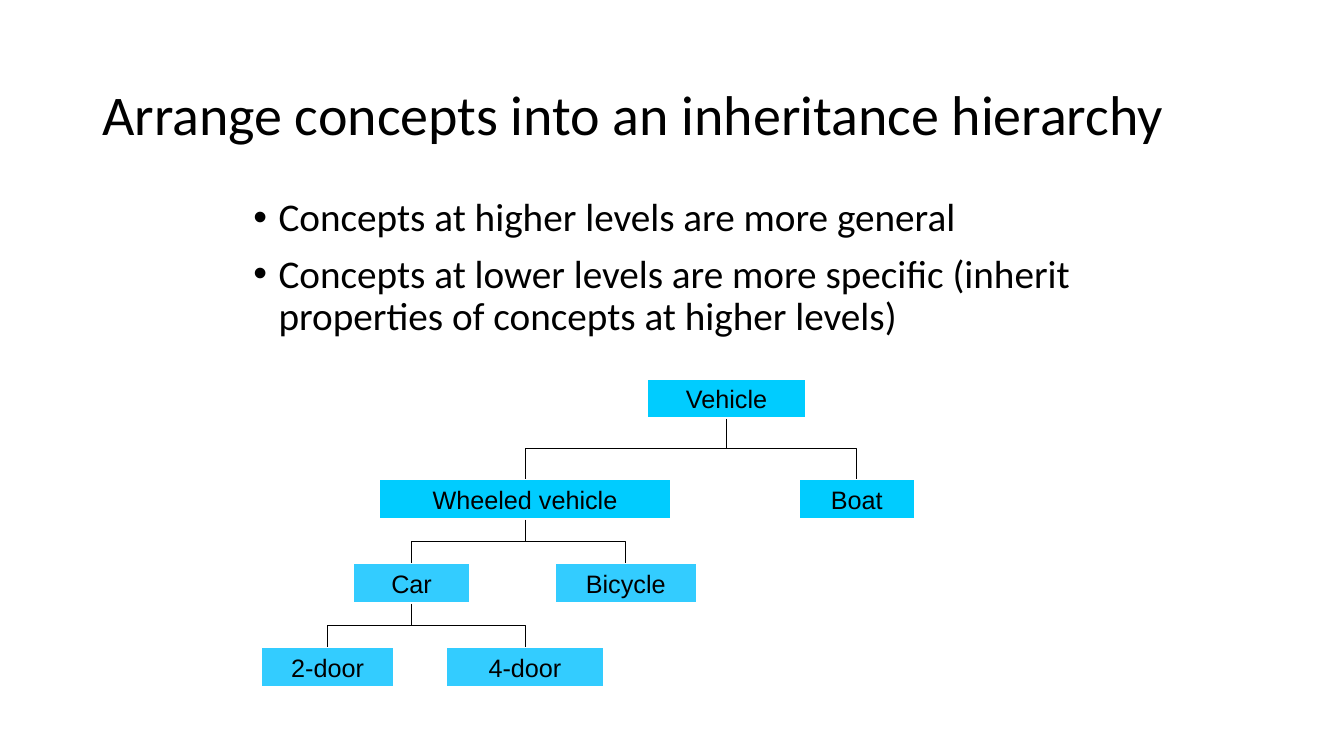
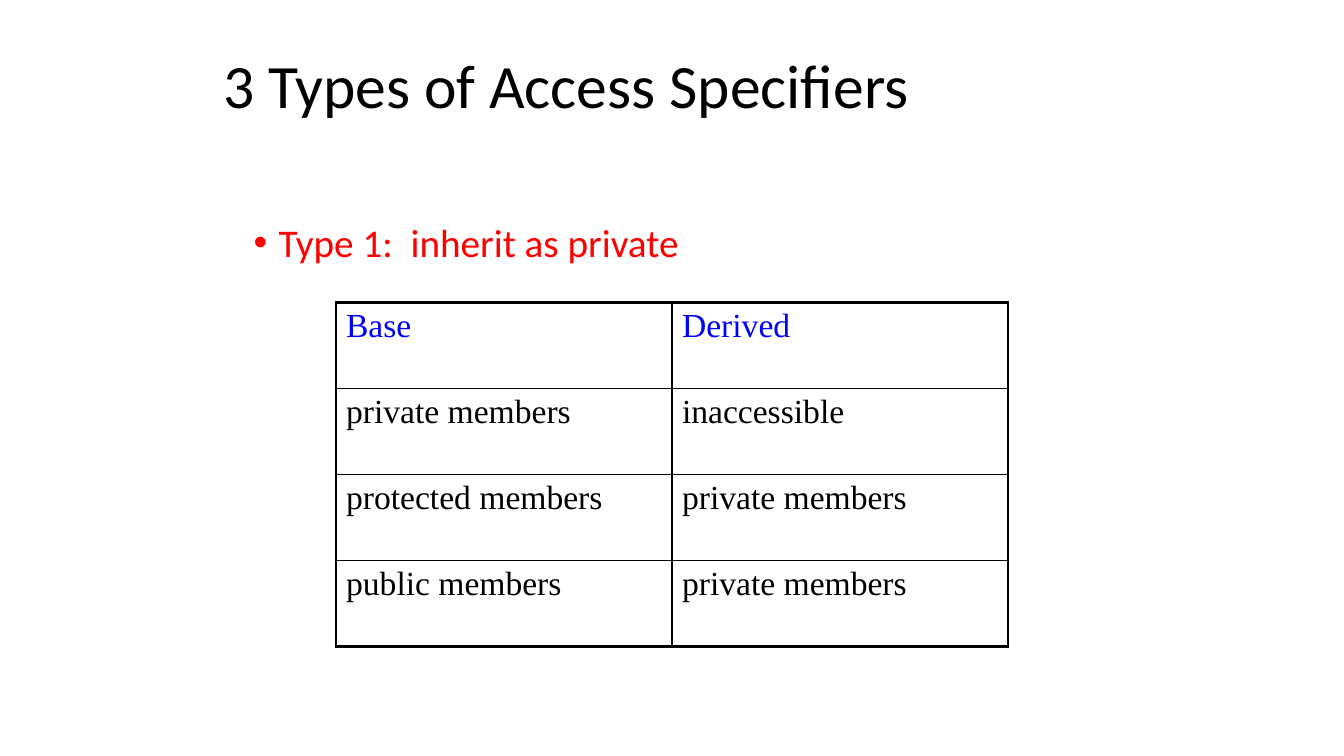
import lxml.etree
import pptx
import pptx.dml.color
import pptx.enum.shapes
import pptx.enum.text
import pptx.oxml.ns
import pptx.util

EMU_PER_PX = 9525
BLACK = pptx.dml.color.RGBColor(0x00, 0x00, 0x00)
WHITE = pptx.dml.color.RGBColor(0xFF, 0xFF, 0xFF)
RED = pptx.dml.color.RGBColor(0xFF, 0x00, 0x00)
BLUE = pptx.dml.color.RGBColor(0x00, 0x00, 0xFF)
UPPER_FILL = pptx.dml.color.RGBColor(0x00, 0xCC, 0xFF)
LOWER_FILL = pptx.dml.color.RGBColor(0x33, 0xCC, 0xFF)
SLIDE_FONT = "Calibri"
TREE_FONT = "Arial"
TABLE_FONT = "Times New Roman"
BULLET_INDENT = 24
NODE_HEIGHT = 39
THICK, THIN = 2.25, 1

# name: (left, top, width, fill, parent)
TREE = {
    "Vehicle": (368, 0, 152, UPPER_FILL, None),
    "Wheeled vehicle": (112, 96, 280, UPPER_FILL, "Vehicle"),
    "Boat": (512, 96, 112, UPPER_FILL, "Vehicle"),
    "Car": (88, 176, 112, LOWER_FILL, "Wheeled vehicle"),
    "Bicycle": (280, 176, 136, LOWER_FILL, "Wheeled vehicle"),
    "2-door": (0, 256, 128, LOWER_FILL, "Car"),
    "4-door": (176, 256, 152, LOWER_FILL, "Car"),
}
ACCESS_ROWS = [
    ("Base", "Derived"),
    ("private members", "inaccessible"),
    ("protected members", "private members"),
    ("public members", "private members"),
]


def px(*lengths):
    """Turn pixel lengths into a list of EMU lengths."""
    return [pptx.util.Emu(length * EMU_PER_PX) for length in lengths]


def add_element(parent, tag, **attributes):
    """Append a DrawingML element to a parent element."""
    element = lxml.etree.SubElement(parent, pptx.oxml.ns.qn(tag))
    for name, value in attributes.items():
        element.set(name, str(value))
    return element


def style_font(paragraph, name, size, color):
    """Set the font that all runs of a paragraph share."""
    paragraph.font.name = name
    paragraph.font.size = pptx.util.Pt(size)
    paragraph.font.color.rgb = color


def add_text_frame(slide, box, anchor):
    """Add a wrapping text box and return its frame."""
    frame = slide.shapes.add_textbox(*px(*box)).text_frame
    frame.word_wrap = True
    frame.vertical_anchor = anchor
    return frame


def add_title(slide, box, text, size):
    """Add the slide title, centred vertically in its box."""
    frame = add_text_frame(slide, box, pptx.enum.text.MSO_ANCHOR.MIDDLE)
    paragraph = frame.paragraphs[0]
    paragraph.text = text
    paragraph.line_spacing = 0.9
    style_font(paragraph, SLIDE_FONT, size, BLACK)


def add_bullets(slide, box, lines, color):
    """Add a bulleted list with a hanging indent."""
    frame = add_text_frame(slide, box, pptx.enum.text.MSO_ANCHOR.TOP)
    indent = px(BULLET_INDENT)[0]
    for index, line in enumerate(lines):
        paragraph = frame.add_paragraph() if index else frame.paragraphs[0]
        paragraph.text = line
        paragraph.line_spacing = 0.9
        if index:
            paragraph.space_before = pptx.util.Pt(10)
        properties = paragraph._p.get_or_add_pPr()
        properties.set("marL", str(indent))
        properties.set("indent", str(-indent))
        add_element(properties, "a:buFont", typeface="Arial")
        add_element(properties, "a:buChar", char="•")
        style_font(paragraph, SLIDE_FONT, 28, color)


def add_node(slide, box, text, fill):
    """Add one concept rectangle of the hierarchy."""
    shape = slide.shapes.add_shape(pptx.enum.shapes.MSO_SHAPE.RECTANGLE, *px(*box))
    shape.shadow.inherit = False
    shape.fill.solid()
    shape.fill.fore_color.rgb = fill
    shape.line.color.rgb = WHITE
    shape.line.width = pptx.util.Pt(2.25)
    shape.text_frame.vertical_anchor = pptx.enum.text.MSO_ANCHOR.MIDDLE
    paragraph = shape.text_frame.paragraphs[0]
    paragraph.text = text
    paragraph.alignment = pptx.enum.text.PP_ALIGN.CENTER
    style_font(paragraph, TREE_FONT, 18, BLACK)
    return shape


def add_branch(slide, parent, child):
    """Join a parent's bottom to a child's top with a turned elbow."""
    connector = slide.shapes.add_connector(
        pptx.enum.shapes.MSO_CONNECTOR.ELBOW, 0, 0, 0, 0)
    connector.begin_connect(parent, 2)
    connector.end_connect(child, 0)
    start_x = parent.left + parent.width // 2
    start_y = parent.top + parent.height
    end_x = child.left + child.width // 2
    drop, spread = child.top - start_y, abs(end_x - start_x)
    connector.left = (start_x + end_x - drop) // 2
    connector.top = (start_y + child.top - spread) // 2
    connector.width, connector.height = drop, spread
    goes_right = end_x > start_x
    transform = connector.element.spPr.find(pptx.oxml.ns.qn("a:xfrm"))
    transform.set("rot", str((270 if goes_right else 90) * 60000))
    transform.set("flipH", "1" if goes_right else "0")
    transform.set("flipV", "0")
    connector.line.color.rgb = BLACK
    connector.line.width = pptx.util.Pt(0.5)
    add_element(connector.element.spPr, "a:effectLst")


def add_hierarchy(slide, left, top):
    """Draw the concept tree from its top left corner."""
    nodes = {}
    for name, (x, y, width, fill, _) in TREE.items():
        box = (left + x, top + y, width, NODE_HEIGHT)
        nodes[name] = add_node(slide, box, name, fill)
    for name, (*_, parent) in TREE.items():
        if parent:
            add_branch(slide, nodes[parent], nodes[name])


def add_cell_borders(cell, widths):
    """Draw black borders in the order left, right, top, bottom."""
    properties = cell._tc.get_or_add_tcPr()
    for side, width in zip("LRTB", widths):
        line = add_element(properties, f"a:ln{side}", w=pptx.util.Pt(width))
        add_element(add_element(line, "a:solidFill"), "a:srgbClr", val=BLACK)


def add_access_table(slide, box, rows):
    """Add a ruled table with a thick outer frame."""
    last_row, last_column = len(rows) - 1, len(rows[0]) - 1
    frame = slide.shapes.add_table(len(rows), len(rows[0]), *px(*box))
    table = frame.table
    table.first_row = table.horz_banding = False
    for row_index, row in enumerate(rows):
        for column_index, text in enumerate(row):
            cell = table.cell(row_index, column_index)
            outer = (column_index == 0, column_index == last_column,
                     row_index == 0, row_index == last_row)
            add_cell_borders(cell, [THICK if edge else THIN for edge in outer])
            cell.fill.background()
            paragraph = cell.text_frame.paragraphs[0]
            paragraph.text = text
            style_font(paragraph, TABLE_FONT, 24, BLACK if row_index else BLUE)


def build_hierarchy_slide(slide):
    """Build the slide on the inheritance hierarchy."""
    add_title(slide, (88, 40, 1093, 144),
              "Arrange concepts into an inheritance hierarchy", 40)
    add_bullets(slide, (232, 184, 816, 152), [
        "Concepts at higher levels are more general",
        "Concepts at lower levels are more specific "
        "(inherit properties of concepts at higher levels)",
    ], BLACK)
    add_hierarchy(slide, 248, 360)


def build_access_slide(slide):
    """Build the slide on access specifiers."""
    add_title(slide, (203, 24, 870, 120), "3 Types of Access Specifiers", 44)
    add_bullets(slide, (232, 208, 848, 432), ["Type 1:  inherit as private"], RED)
    add_access_table(slide, (320, 288, 640, 328), ACCESS_ROWS)


def main():
    """Build and save the presentation."""
    presentation = pptx.Presentation()
    presentation.slide_width, presentation.slide_height = px(1280, 720)
    for build in (build_hierarchy_slide, build_access_slide):
        build(presentation.slides.add_slide(presentation.slide_layouts[6]))
    presentation.save("out.pptx")


if __name__ == "__main__":
    main()
